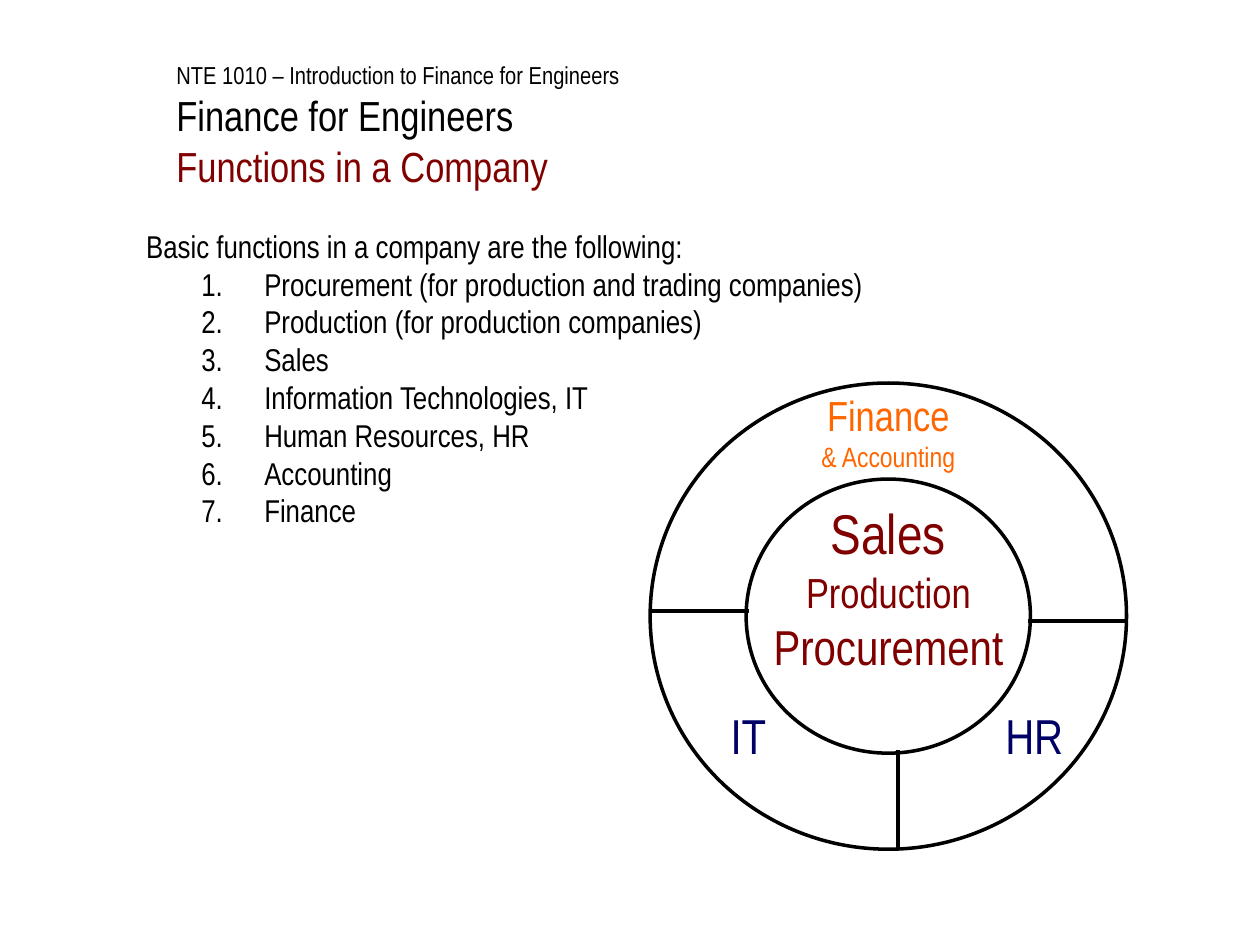
from dataclasses import dataclass

from lxml.etree import SubElement
from pptx import Presentation
from pptx.dml.color import RGBColor
from pptx.enum.shapes import MSO_CONNECTOR, MSO_SHAPE
from pptx.enum.text import MSO_ANCHOR, MSO_AUTO_SIZE, PP_ALIGN
from pptx.oxml.ns import qn
from pptx.util import Pt


@dataclass(frozen=True)
class Theme:
    font: str = "Arial Narrow"
    black: str = "000000"
    red: str = "800000"
    navy: str = "000066"
    orange: str = "FF6600"
    tiny: int = 14
    small: int = 16
    body: int = 18
    head: int = 24
    large: int = 28
    huge: int = 32


THEME = Theme()


def add_run(para, text, size, color):
    run = para.add_run()
    run.text = text
    run.font.name = THEME.font
    run.font.size = Pt(size)
    run.font.color.rgb = RGBColor.from_string(color)


def place(shape, left, top, width, height):
    shape.left, shape.top = Pt(left), Pt(top)
    shape.width, shape.height = Pt(width), Pt(height)


def fill_title(title, lines):
    place(title, 93.6, 26.6, 283.7, 90)
    frame = title.text_frame
    frame.auto_size = MSO_AUTO_SIZE.NONE
    frame.vertical_anchor = MSO_ANCHOR.MIDDLE
    para = frame.paragraphs[0]
    para.alignment = PP_ALIGN.LEFT
    for index, (text, size, color) in enumerate(lines):
        if index:
            # The break takes the size of the line it ends
            para.add_line_break()
            mark = para._p.findall(qn("a:br"))[-1]
            SubElement(mark, qn("a:rPr"), sz=str(lines[index - 1][1] * 100))
        add_run(para, text, size, color)


def fill_list(body, intro, items):
    place(body, 76.3, 126, 589.7, 356.4)
    frame = body.text_frame
    frame.auto_size = MSO_AUTO_SIZE.NONE
    for index, text in enumerate([intro] + items):
        para = frame.add_paragraph() if index else frame.paragraphs[0]
        para.space_before = Pt(0)
        props = para._p.get_or_add_pPr()
        if index:
            para.level = 1
            props.set("marL", str(Pt(67.5)))
            props.set("indent", str(Pt(-36)))
            SubElement(props, qn("a:buFont"), typeface="+mj-lt")
            SubElement(props, qn("a:buAutoNum"), type="arabicPeriod")
        else:
            props.set("marL", "0")
            props.set("indent", "0")
            SubElement(props, qn("a:buNone"))
        add_run(para, text, THEME.body, THEME.black)


def add_ring(slide, left, top, width, height):
    ring = slide.shapes.add_shape(
        MSO_SHAPE.DONUT, Pt(left), Pt(top), Pt(width), Pt(height))
    ring.adjustments[0] = 0.206
    ring.shadow.inherit = False
    ring.fill.background()
    ring.line.color.rgb = RGBColor.from_string(THEME.black)
    ring.line.width = Pt(2)


def add_line(slide, *ends):
    line = slide.shapes.add_connector(
        MSO_CONNECTOR.STRAIGHT, *[Pt(end) for end in ends])
    line.line.color.rgb = RGBColor.from_string(THEME.black)
    line.line.width = Pt(2.25)
    SubElement(line._element.spPr, qn("a:effectLst"))


def add_label(slide, area, color, lines, align=PP_ALIGN.CENTER):
    box = slide.shapes.add_textbox(*[Pt(size) for size in area])
    frame = box.text_frame
    frame.word_wrap = False
    frame.auto_size = MSO_AUTO_SIZE.SHAPE_TO_FIT_TEXT
    for index, (text, size) in enumerate(lines):
        para = frame.add_paragraph() if index else frame.paragraphs[0]
        para.alignment = align
        add_run(para, text, size, color)


def main():
    deck = Presentation()
    deck.slide_width, deck.slide_height = Pt(720), Pt(540)
    slide = deck.slides.add_slide(deck.slide_layouts[1])

    # Title and list
    fill_title(slide.shapes.title, [
        ("NTE 1010 – Introduction to Finance for Engineers",
         THEME.tiny, THEME.black),
        ("Finance for Engineers", THEME.head, THEME.black),
        ("Functions in a Company", THEME.head, THEME.red),
    ])
    fill_list(
        slide.placeholders[1],
        "Basic functions in a company are the following:",
        ["Procurement (for production and trading companies)",
         "Production (for production companies)",
         "Sales",
         "Information Technologies, IT",
         "Human Resources, HR",
         "Accounting",
         "Finance"])

    # Ring and the lines that part it
    left, top, width, height = 371.5, 218.9, 272.2, 266.4
    right, base, band = left + width, top + height, 56.5
    add_ring(slide, left, top, width, height)
    add_line(slide, left, 349.2, left + band, 349.2)
    add_line(slide, right, 355, right - band, 355)
    add_line(slide, 513.4, base, 513.4, base - band)

    # Labels
    add_label(slide, (434.2, 281.5, 146.9, 108.7), THEME.red, [
        ("Sales", THEME.huge),
        ("Production", THEME.head),
        ("Procurement", THEME.large)])
    add_label(slide, (459.4, 218.9, 96.5, 55.4), THEME.orange, [
        ("Finance", THEME.head), ("& Accounting", THEME.small)])
    for text, spot, span in (("IT", 410.4, 35.3), ("HR", 567.4, 48.2)):
        add_label(slide, (spot, 399.6, span, 41), THEME.navy,
                  [(text, THEME.large)], PP_ALIGN.LEFT)

    deck.save("out.pptx")


if __name__ == "__main__":
    main()
